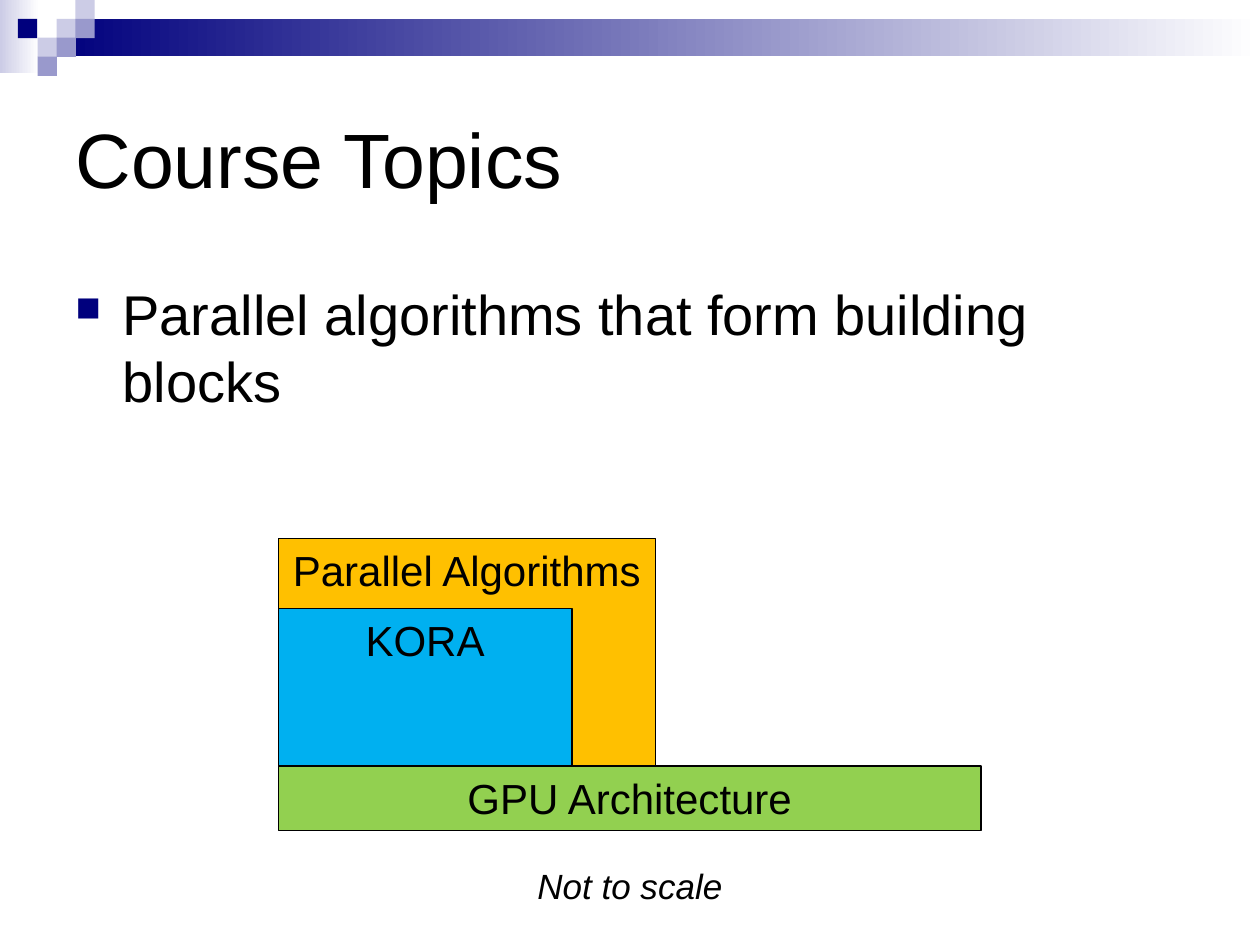
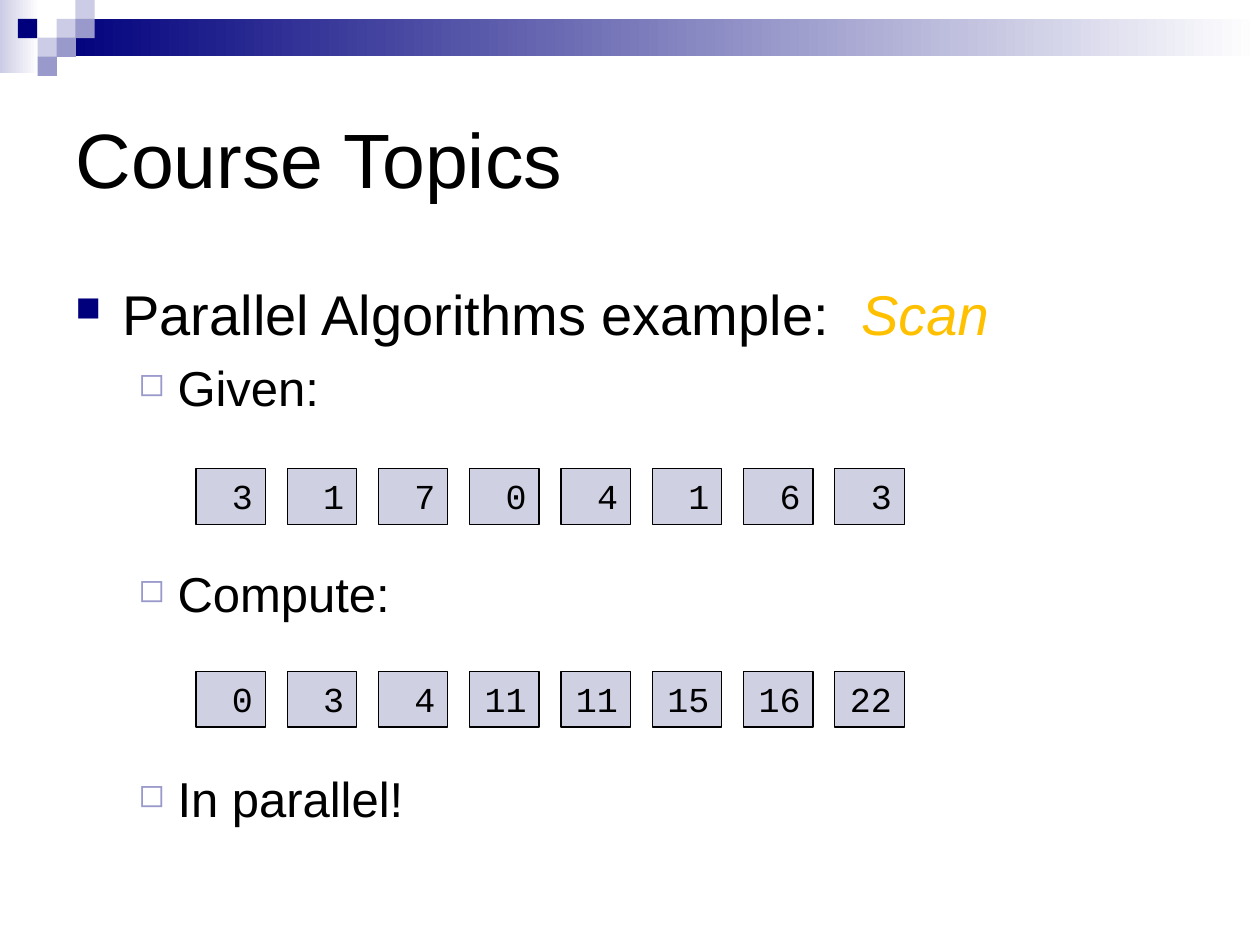
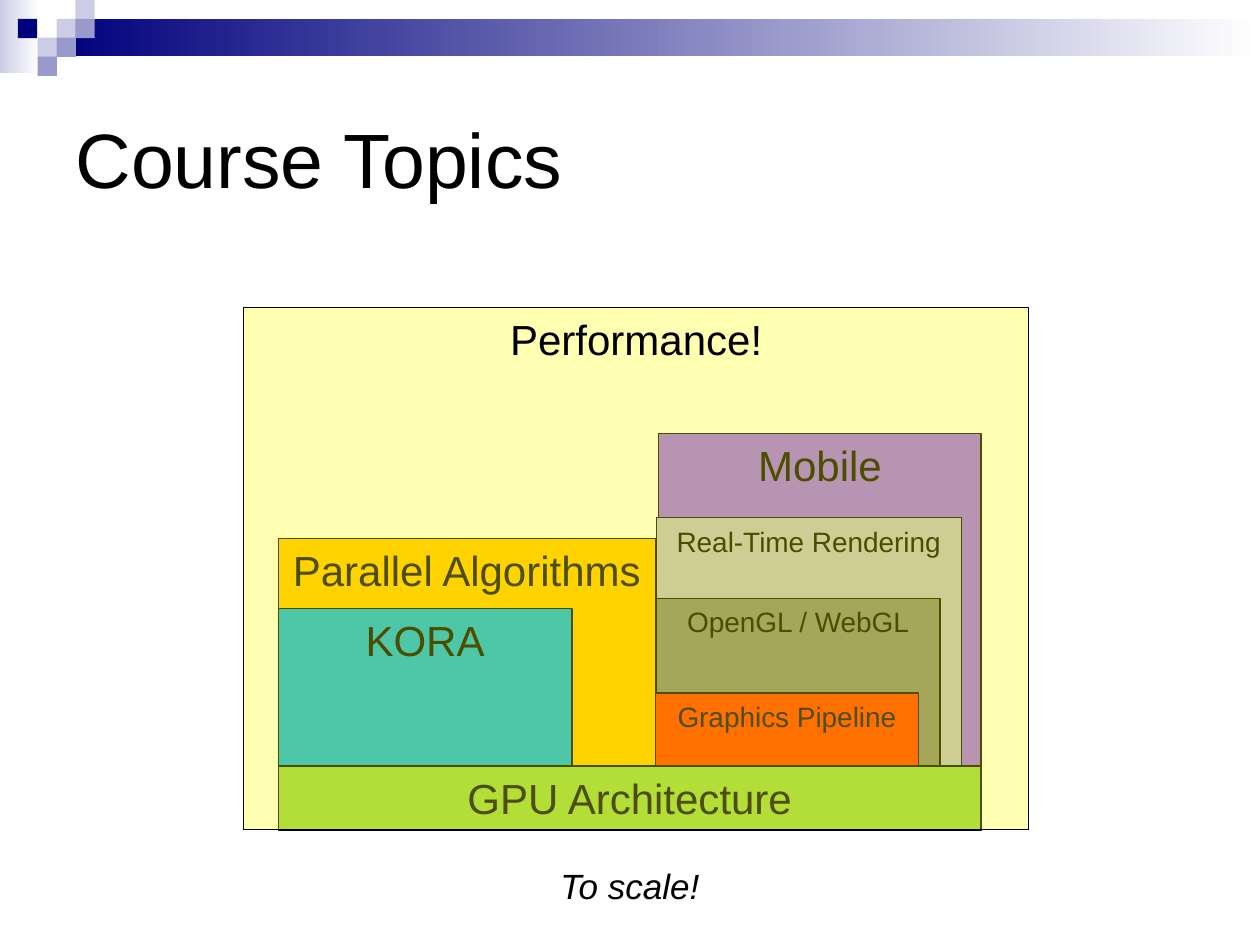
"""Build three course topic slides with layered boxes and a scan example."""
from dataclasses import dataclass

from lxml.etree import SubElement
from pptx import Presentation
from pptx.dml.color import RGBColor
from pptx.enum.shapes import MSO_SHAPE
from pptx.enum.text import MSO_ANCHOR, PP_ALIGN
from pptx.oxml.ns import qn
from pptx.util import Cm, Pt


@dataclass(frozen=True)
class Theme:
    font: str = "Arial"
    mono: str = "Courier New"
    black: str = "000000"
    white: str = "FFFFFF"
    navy: str = "00007D"
    lilac: str = "9999CC"
    pale: str = "CCCCE6"
    cell: str = "D0D0E3"
    amber: str = "FFC000"
    blue: str = "00B0F0"
    green: str = "92D050"
    purple: str = "9966FF"
    mist: str = "B9B9D5"
    grey: str = "808080"
    red: str = "FF3300"
    yellow: str = "FFFF00"
    title: int = 44
    body: int = 32
    sub: int = 28
    label: int = 24
    note: int = 20
    small: int = 16


T = Theme()


def write(p, text, size=T.label, color=T.black, font=T.font, italic=False, align=PP_ALIGN.CENTER):
    p.alignment = align
    r = p.add_run()
    r.text = text
    r.font.size = Pt(size)
    r.font.name = font
    r.font.italic = italic
    r.font.color.rgb = RGBColor.from_string(color)


def add_box(s, at, fill, text="", outline=True, **fmt):
    sp = s.shapes.add_shape(MSO_SHAPE.RECTANGLE, *(Cm(v) for v in at))
    sp.shadow.inherit = False
    sp.fill.solid()
    sp.fill.fore_color.rgb = RGBColor.from_string(fill)
    if outline:
        sp.line.color.rgb = RGBColor.from_string(T.black)
        sp.line.width = Pt(0.75)
    else:
        sp.line.fill.background()
    if text:
        tf = sp.text_frame
        tf.word_wrap = True
        tf.vertical_anchor = MSO_ANCHOR.TOP
        write(tf.paragraphs[0], text, **fmt)
    return sp


prs = Presentation()
prs.slide_width, prs.slide_height = Cm(25.4), Cm(19.05)

slides = []
for _ in range(3):
    s = prs.slides.add_slide(prs.slide_layouts[5])
    title = s.shapes.title
    title.left, title.top, title.width, title.height = Cm(1.27), Cm(1.27), Cm(22.86), Cm(3.81)
    title.text_frame.vertical_anchor = MSO_ANCHOR.MIDDLE
    write(title.text_frame.paragraphs[0], "Course Topics", size=T.title, align=PP_ALIGN.LEFT)
    slides.append(s)
building_blocks, scan, performance = slides

band = []
for at, start in [((0, 0, 0.79, 1.47), T.pale), ((1.14, 0.38, 24.26, 0.76), T.navy)]:
    sp = add_box(building_blocks, at, start, outline=False)
    sp.fill.gradient()
    sp.fill.gradient_angle = 0
    for stop, color in zip(sp.fill.gradient_stops, (start, T.white)):
        stop.color.rgb = RGBColor.from_string(color)
    band.append(sp)

squares = [(1.14, 0.38, T.pale), (1.52, 0, T.pale), (1.52, 0.38, T.lilac), (0.76, 0.76, T.pale),
           (0.36, 0.38, T.navy), (1.14, 0.76, T.lilac), (0.76, 1.14, T.lilac)]
for x, y, color in squares:
    band.append(add_box(building_blocks, (x, y, 0.39, 0.39), color, outline=False))

for number, sp in enumerate(band, 20):
    sp._element.nvSpPr.cNvPr.set("id", str(number))
    prs.slide_master.shapes._spTree.append(sp._element)

graphics_layers = [
    ((13.28, 8.74, 6.5, 7.44), T.purple, "Mobile", T.label),
    ((13.23, 10.44, 6.15, 5.05), T.mist, "Real-Time Rendering", T.small),
    ((13.23, 12.07, 5.72, 3.68), T.grey, "OpenGL / WebGL", T.small),
    ((13.21, 13.97, 5.31, 1.63), T.red, "Graphics Pipeline", T.small),
]
compute_layers = [
    ((5.61, 10.85, 7.6, 5.38), T.amber, "Parallel Algorithms", T.label),
    ((5.61, 12.27, 5.92, 3.33), T.blue, "KORA", T.label),
    ((5.61, 15.44, 14.17, 1.3), T.green, "GPU Architecture", T.label),
]
diagrams = [(building_blocks, compute_layers, "Not to scale"),
            (performance, graphics_layers + compute_layers, "To scale!")]
for s, layers, note in diagrams:
    for at, fill, text, size in layers:
        add_box(s, at, fill, text, size=size)
    tf = s.shapes.add_textbox(0, Cm(17.3), prs.slide_width, Cm(1.12)).text_frame
    tf.word_wrap = True
    write(tf.paragraphs[0], note, size=T.note, italic=True)

overlay = add_box(performance, (4.91, 6.2, 15.83, 10.52), T.yellow, "Performance!")
color = overlay.fill._xPr.find(qn("a:solidFill"))[0]
SubElement(color, qn("a:alpha")).set("val", "30000")

bullet_levels = [
    (T.body, 0.95, -0.95, T.navy, 62, "■"),
    (T.sub, 2.06, -0.79, T.lilac, 66, "◻"),
]
bodies = [
    (building_blocks, 1.47, [(0, 0, "Parallel algorithms that form building blocks")]),
    (scan, 10.8, [(0, 0, "Parallel Algorithms example:  "), (1, 6, "Given:"),
                  (1, 84, "Compute:"), (1, 84, "In parallel!")]),
]
for s, height, lines in bodies:
    tf = s.shapes.add_textbox(Cm(1.27), Cm(5.51), Cm(22.86), Cm(height)).text_frame
    tf.word_wrap = True
    for i, (level, gap, text) in enumerate(lines):
        p = tf.add_paragraph() if i else tf.paragraphs[0]
        p.level = level
        p.space_before = Pt(gap)
        size, margin, indent, color, percent, mark = bullet_levels[level]
        pPr = p._p.get_or_add_pPr()
        pPr.set("marL", str(Cm(margin)))
        pPr.set("indent", str(Cm(indent)))
        SubElement(SubElement(pPr, qn("a:buClr")), qn("a:srgbClr")).set("val", color)
        SubElement(pPr, qn("a:buSzPct")).set("val", str(percent * 1000))
        SubElement(pPr, qn("a:buChar")).set("char", mark)
        write(p, text, size=size, align=PP_ALIGN.LEFT)
write(tf.paragraphs[0], "Scan", size=T.body, color=T.amber, italic=True, align=PP_ALIGN.LEFT)

for top, values in [(9.45, (3, 1, 7, 0, 4, 1, 6, 3)), (13.54, (0, 3, 4, 11, 11, 15, 16, 22))]:
    for i, value in enumerate(values):
        add_box(scan, (3.95 + 1.84 * i, top, 1.4, 1.12), T.cell, str(value),
                size=T.note, font=T.mono, align=PP_ALIGN.RIGHT)

prs.save("out.pptx")
